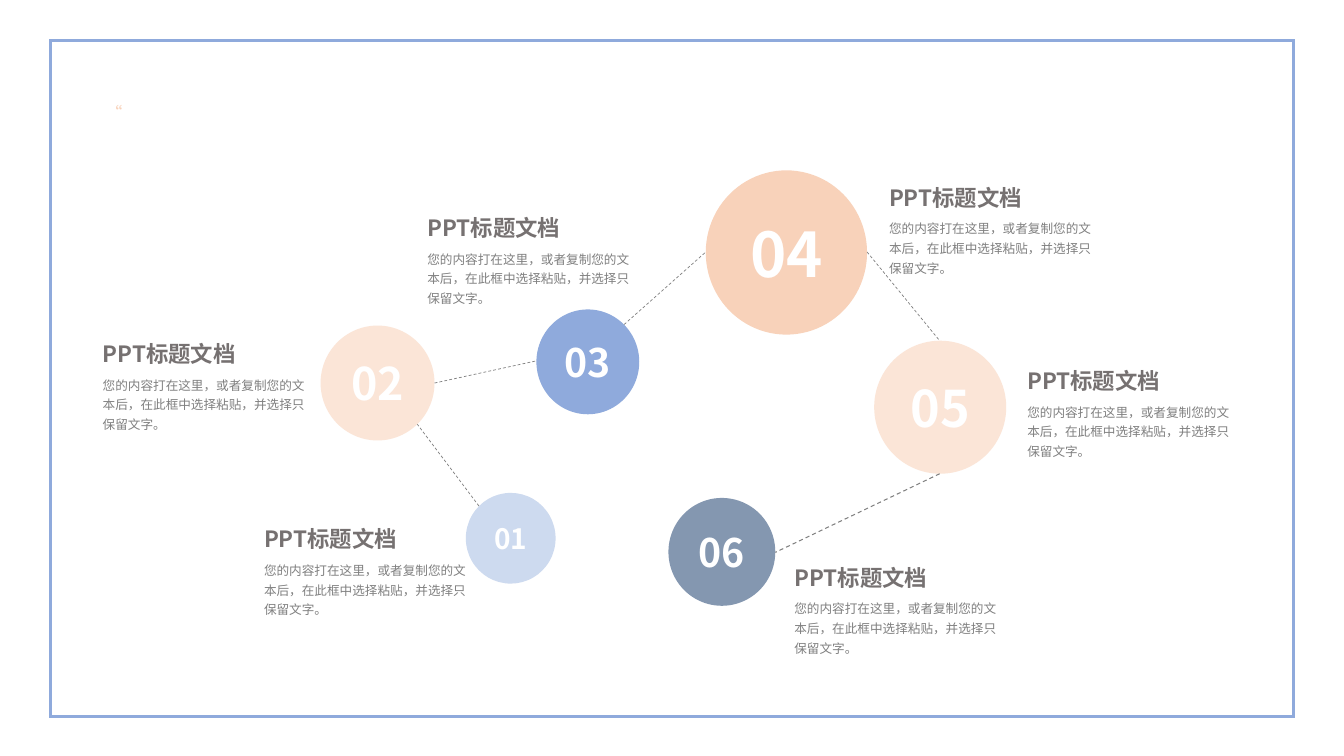
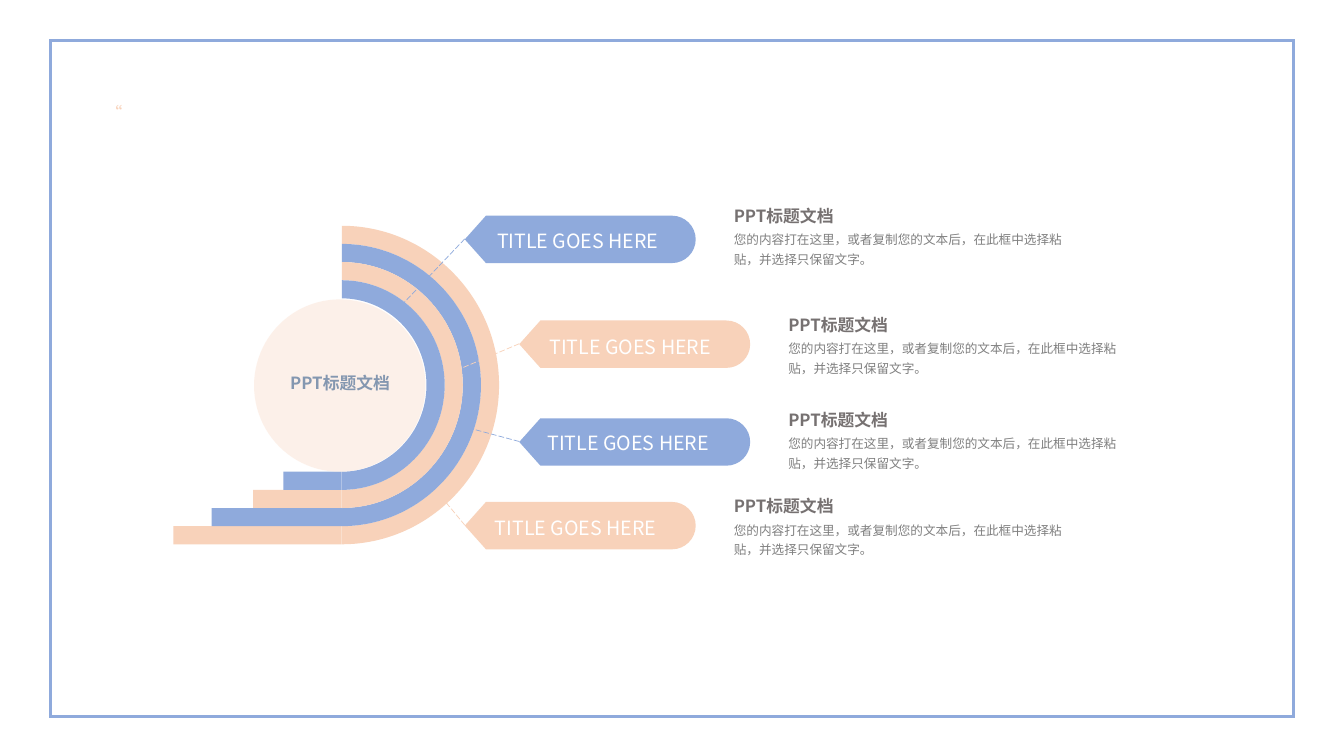
from lxml.etree import SubElement
from pptx import Presentation
from pptx.dml.color import RGBColor
from pptx.enum.dml import MSO_LINE
from pptx.enum.shapes import MSO_CONNECTOR, MSO_SHAPE
from pptx.enum.text import MSO_ANCHOR, PP_ALIGN
from pptx.oxml.ns import qn
from pptx.util import Inches, Pt

BLUE = RGBColor(0x8F, 0xAA, 0xDC)
PALE_BLUE = RGBColor(0xCD, 0xDA, 0xEF)
SLATE = RGBColor(0x84, 0x97, 0xB0)
PEACH = RGBColor(0xF8, 0xD2, 0xBA)
PALE_PEACH = RGBColor(0xFB, 0xE5, 0xD7)
GRAY = RGBColor(0x80, 0x80, 0x80)
DARK_GRAY = RGBColor(0x76, 0x71, 0x71)
WHITE = RGBColor(0xFF, 0xFF, 0xFF)

FONT = "Noto Sans CJK SC"
HEADING = "PPT标题文档"
BODY = "您的内容打在这里，或者复制您的文本后，在此框中选择粘贴，并选择只保留文字。"
HALF_CIRCLE = [
    [(0.55, -1), (1, -0.55), (1, 0)],
    [(1, 0.55), (0.55, 1), (0, 1)],
]


def write_text(shape, text, size, color, bold=False, anchor=MSO_ANCHOR.TOP,
               wrap=False, spacing=1.0, alignment=PP_ALIGN.LEFT):
    frame = shape.text_frame
    frame.word_wrap = wrap
    frame.vertical_anchor = anchor
    paragraph = frame.paragraphs[0]
    paragraph.text = text
    paragraph.alignment = alignment
    paragraph.line_spacing = spacing
    paragraph.font.size = Pt(size)
    paragraph.font.bold = bold
    paragraph.font.color.rgb = color
    paragraph.font.name = FONT
    properties = paragraph._p.get_or_add_pPr().get_or_add_defRPr()
    SubElement(properties, qn("a:ea"), typeface=FONT)


def add_dashed_line(slide, start, end, color, width, dash):
    line = slide.shapes.add_connector(
        MSO_CONNECTOR.STRAIGHT, *map(Inches, start + end))
    line.line.color.rgb = color
    line.line.width = Pt(width)
    line.line.dash_style = dash
    SubElement(line._element.spPr, qn("a:effectLst"))


presentation = Presentation()
presentation.slide_width = Inches(13.33)
presentation.slide_height = Inches(7.5)
blank_layout = presentation.slide_layouts[6]
path_slide = presentation.slides.add_slide(blank_layout)
rings_slide = presentation.slides.add_slide(blank_layout)
filled_shapes = []
text_blocks = []

for slide in (path_slide, rings_slide):
    border = slide.shapes.add_shape(
        MSO_SHAPE.RECTANGLE, Inches(0.5), Inches(0.4), Inches(12.33), Inches(6.71))
    border.fill.background()
    border.line.color.rgb = BLUE
    border.line.width = Pt(2.25)
    SubElement(border._element.spPr.find(qn("a:ln")), qn("a:miter"), lim="800000")
    border.shadow.inherit = False
    quote = slide.shapes.add_textbox(
        Inches(0.95), Inches(0.99), Inches(0.45), Inches(0.25))
    write_text(quote, "“", 12, PEACH, anchor=MSO_ANCHOR.MIDDLE, wrap=True)

steps = [
    ("01", (4.62, 4.89, 0.89, 0.9), PALE_BLUE, 20, (2.52, 5.05)),
    ("02", (3.18, 3.23, 1.13, 1.14), PALE_PEACH, 32, (0.92, 3.21)),
    ("03", (5.32, 3.07, 1.02, 1.04), BLUE, 28, (4.14, 1.96)),
    ("04", (7, 1.69, 1.6, 1.63), PEACH, 44, (8.72, 1.66)),
    ("05", (8.67, 3.38, 1.31, 1.32), PALE_PEACH, 36, (10.09, 3.48)),
    ("06", (6.63, 4.94, 1.06, 1.07), SLATE, 28, (7.78, 5.43)),
]
for number, box, color, size, (left, top) in steps:
    circle = path_slide.shapes.add_shape(MSO_SHAPE.OVAL, *map(Inches, box))
    write_text(circle, number, size, WHITE, bold=True,
               anchor=MSO_ANCHOR.MIDDLE, alignment=PP_ALIGN.CENTER)
    filled_shapes.append((circle, color))
    text_blocks.append((path_slide, left, top, 1.62, 16, 0.44, 2.32))

step_links = [
    ((4.75, 5.02), (4.14, 4.21), 0.5),
    ((4.31, 3.8), (5.32, 3.58), 0.5),
    ((6.19, 3.22), (7, 2.5), 0.5),
    ((8.6, 2.5), (9.32, 3.38), 0.5),
    ((9.32, 4.7), (7.69, 5.48), 0.75),
]
for start, end, width in step_links:
    add_dashed_line(path_slide, start, end, GRAY, width, MSO_LINE.DASH)

center_x, center_y = 3.39, 3.82
outer_radius, band = 1.58, 0.18
outlines = []
bar_widths = [1.67, 1.29, 0.88, 0.58]
for index, bar_width in enumerate(bar_widths):
    color = BLUE if index % 2 else PEACH
    radius = outer_radius - band * index
    segments = []
    for arc_radius, direction in ((radius, 1), (radius - band, -1)):
        segments.append([(center_x, center_y - direction * arc_radius)])
        segments += [
            [(center_x + (arc_radius - 0.02) * x, center_y + direction * arc_radius * y)
             for x, y in curve] for curve in HALF_CIRCLE]
    outlines.append((segments, color))
    bar = rings_slide.shapes.add_shape(
        MSO_SHAPE.RECTANGLE, Inches(center_x - bar_width),
        Inches(center_y + radius - band), Inches(bar_width), Inches(band))
    filled_shapes.append((bar, color))

tags = [
    (4.61, 2.14, BLUE, (4.93, 2.27), (4, 3.01), 1.81),
    (5.15, 3.18, PEACH, (5.45, 3.32), (4.49, 3.69), 2.89),
    (5.15, 4.15, BLUE, (5.43, 4.28), (4.59, 4.23), 3.83),
    (4.61, 4.98, PEACH, (4.91, 5.12), (4.42, 4.98), 4.69),
]
tag_width, tag_height = 2.29, 0.47
tag_radius = tag_height / 2
for left, top, color, label_place, ring_point, heading_top in tags:
    middle = top + tag_radius
    cap_x = left + tag_width - tag_radius
    segments = [[(left, middle)], [(left + 0.21, top)], [(cap_x, top)]]
    segments += [
        [(cap_x + tag_radius * x, middle + tag_radius * y) for x, y in curve]
        for curve in HALF_CIRCLE]
    segments.append([(left + 0.21, top + tag_height)])
    outlines.append((segments, color))
    text_blocks.append((rings_slide, left + 2.57, heading_top, 2.27, 12, 0.4, 3.57))

for segments, color in outlines:
    points = [(Inches(x), Inches(y)) for segment in segments for x, y in segment]
    builder = rings_slide.shapes.build_freeform(*points[0])
    builder.add_line_segments(points[1:], close=True)
    outline = builder.convert_to_shape()
    filled_shapes.append((outline, color))
    line_elements = iter(list(outline._element.iter(qn("a:lnTo"))))
    for segment in segments[1:]:
        curve, *controls = [next(line_elements) for point in segment]
        if controls:
            curve.tag = qn("a:cubicBezTo")
        for control in controls:
            curve.append(control[0])
            control.getparent().remove(control)

hub = rings_slide.shapes.add_shape(
    MSO_SHAPE.OVAL, Inches(2.52), Inches(2.97), Inches(1.7), Inches(1.71))
filled_shapes.append((hub, PALE_PEACH))
for shape, color in filled_shapes:
    shape.fill.solid()
    shape.fill.fore_color.rgb = color
    shape.line.fill.background()
    shape.shadow.inherit = False
hub_color = hub._element.spPr.find(qn("a:solidFill")).find(qn("a:srgbClr"))
SubElement(hub_color, qn("a:alpha"), val="55000")

hub_heading = rings_slide.shapes.add_textbox(
    Inches(2.78), Inches(3.47), Inches(2.27), Inches(0.48))
write_text(hub_heading, HEADING, 12, SLATE, bold=True, anchor=MSO_ANCHOR.BOTTOM)

for left, top, color, label_place, ring_point, heading_top in tags:
    label = rings_slide.shapes.add_textbox(
        *map(Inches, label_place), Inches(1.66), Inches(0.24))
    frame = label.text_frame
    frame.margin_left = frame.margin_right = 0
    frame.margin_top = frame.margin_bottom = 0
    write_text(label, "TITLE GOES HERE", 14, WHITE)
    add_dashed_line(rings_slide, (left, top + 0.23), ring_point, color, 0.5,
                    MSO_LINE.LONG_DASH)

for slide, left, top, heading_width, size, body_offset, body_width in text_blocks:
    heading = slide.shapes.add_textbox(
        Inches(left), Inches(top), Inches(heading_width), Inches(0.48))
    write_text(heading, HEADING, size, DARK_GRAY, bold=True, anchor=MSO_ANCHOR.BOTTOM)
    body = slide.shapes.add_textbox(
        Inches(left), Inches(top + body_offset), Inches(body_width), Inches(0.81))
    write_text(body, BODY, 9, GRAY, wrap=True, spacing=1.3)

presentation.save("out.pptx")
